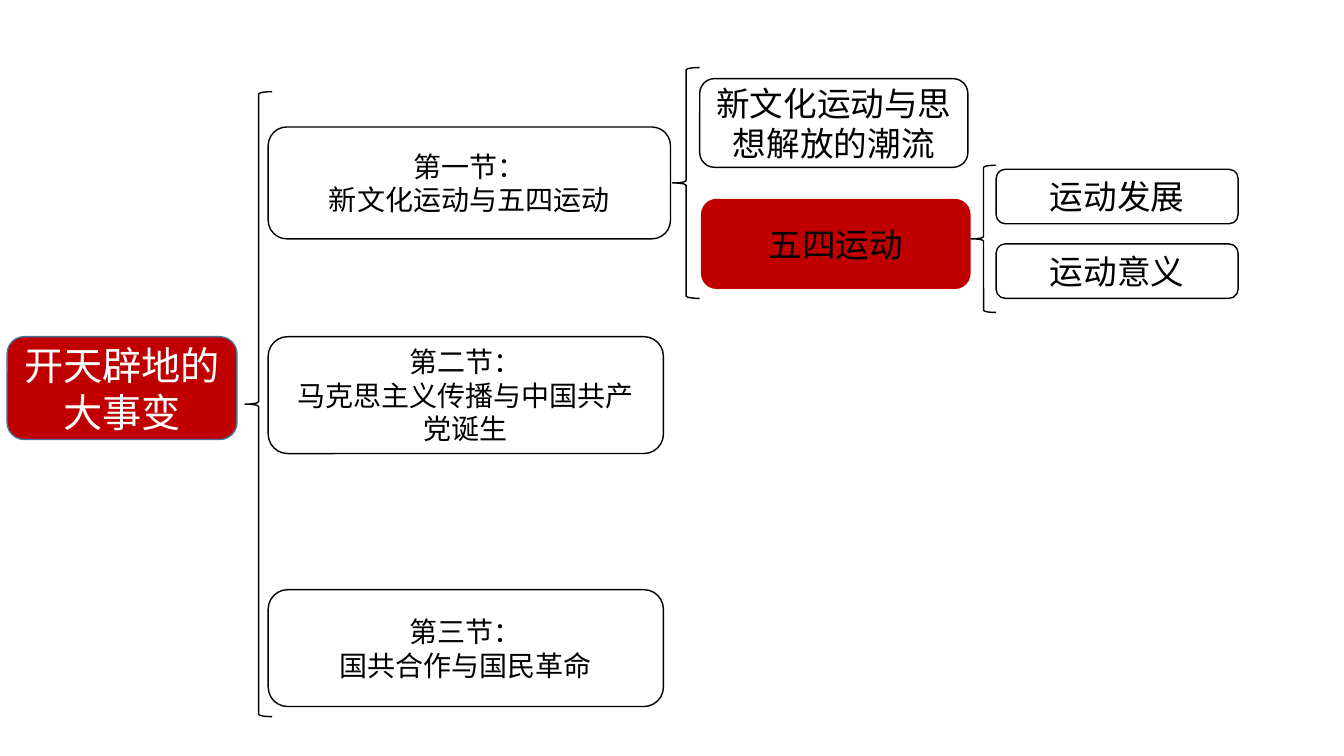
from collections import namedtuple
from dataclasses import dataclass

from lxml.etree import SubElement
from pptx import Presentation
from pptx.dml.color import RGBColor
from pptx.enum.shapes import MSO_SHAPE as Kind
from pptx.enum.text import MSO_ANCHOR as Anchor, PP_ALIGN as Align
from pptx.oxml.ns import qn
from pptx.util import Pt

PX = 9144  # EMU in one px, 100 px to the inch
Box = namedtuple("Box", "x y w h")


@dataclass(frozen=True)
class Theme:
    font: str = "Noto Sans CJK SC"
    red: str = "C00000"
    blue: str = "43739E"
    black: str = "000000"
    white: str = "FFFFFF"
    line: int = 1
    title: int = 28
    topic: int = 24
    section: int = 20


THEME = Theme()


def rgb(code):
    return RGBColor.from_string(code)


def draw(slide, kind, box, fill=None, line=THEME.black):
    shape = slide.shapes.add_shape(kind, *(n * PX for n in box))
    shape.shadow.inherit = False
    if fill:
        shape.fill.solid()
        shape.fill.fore_color.rgb = rgb(fill)
    else:
        shape.fill.background()
    shape.line.color.rgb = rgb(line)
    shape.line.width = Pt(THEME.line)
    return shape


def write(shape, text, size=THEME.topic, color=THEME.black):
    """Centre the text in the shape, one paragraph for each line."""
    frame = shape.text_frame
    frame.word_wrap = True
    frame.vertical_anchor = Anchor.MIDDLE
    for i, part in enumerate(text.split("\n")):
        para = frame.add_paragraph() if i else frame.paragraphs[0]
        para.alignment = Align.CENTER
        run = para.add_run()
        run.text = part
        font = run.font
        font.name, font.size = THEME.font, Pt(size)
        font.color.rgb = rgb(color)
        SubElement(font._element, qn("a:ea"), typeface=THEME.font)


def card(slide, box, text, fill=None, line=THEME.black, **style):
    write(draw(slide, Kind.ROUNDED_RECTANGLE, box, fill, line), text, **style)


def brace(slide, box, width):
    draw(slide, Kind.LEFT_BRACE, box._replace(w=width))


def chapter(slide, box):
    card(slide, box, "开天辟地的大事变", THEME.red, THEME.blue,
         size=THEME.title, color=THEME.white)


def sections(slide, box):
    brace(slide, box, 27)
    rows = [
        (35, 399, 111, None, "第一节：\n新文化运动与五四运动"),
        (243, 392, 116, THEME.white, "第二节：\n马克思主义传播与中国共产党诞生"),
        (494, 392, 116, THEME.white, "第三节：\n国共合作与国民革命"),
    ]
    for top, w, h, fill, text in rows:
        place = Box(box.x + 23, box.y + top, w, h)
        card(slide, place, text, fill, size=THEME.section)


def topics(slide, box):
    brace(slide, box, 27)
    rows = [
        (27, 11, None, THEME.black, "新文化运动与思想解放的潮流"),
        (29, 131, THEME.red, THEME.red, "五四运动"),
    ]
    for left, top, fill, line, text in rows:
        place = Box(box.x + left, box.y + top, 266, 88)
        card(slide, place, text, fill, line)


def points(slide, box):
    brace(slide, box, 25)
    for i, text in enumerate(["运动发展", "运动意义"]):
        place = Box(box.x + 25, box.y + 4 + i * 74, box.w - 25, 54)
        card(slide, place, text)


def main():
    deck = Presentation()
    deck.slide_width, deck.slide_height = 1333 * PX, 750 * PX
    slide = deck.slides.add_slide(deck.slide_layouts[6])
    chapter(slide, Box(7, 334, 228, 102))
    sections(slide, Box(243, 91, 422, 620))
    topics(slide, Box(667, 67, 295, 229))
    points(slide, Box(963, 164, 265, 146))
    deck.save("out.pptx")


if __name__ == "__main__":
    main()
